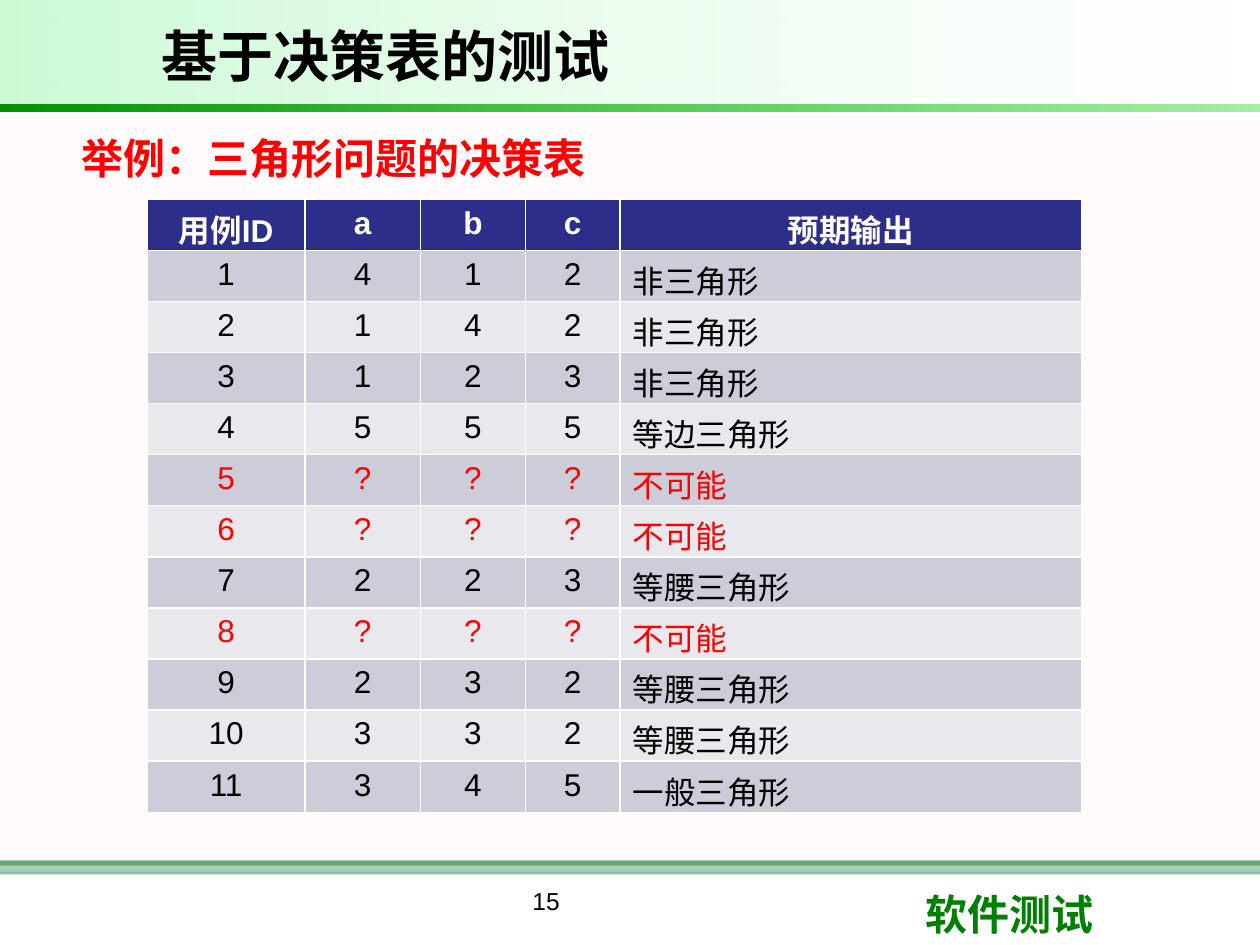
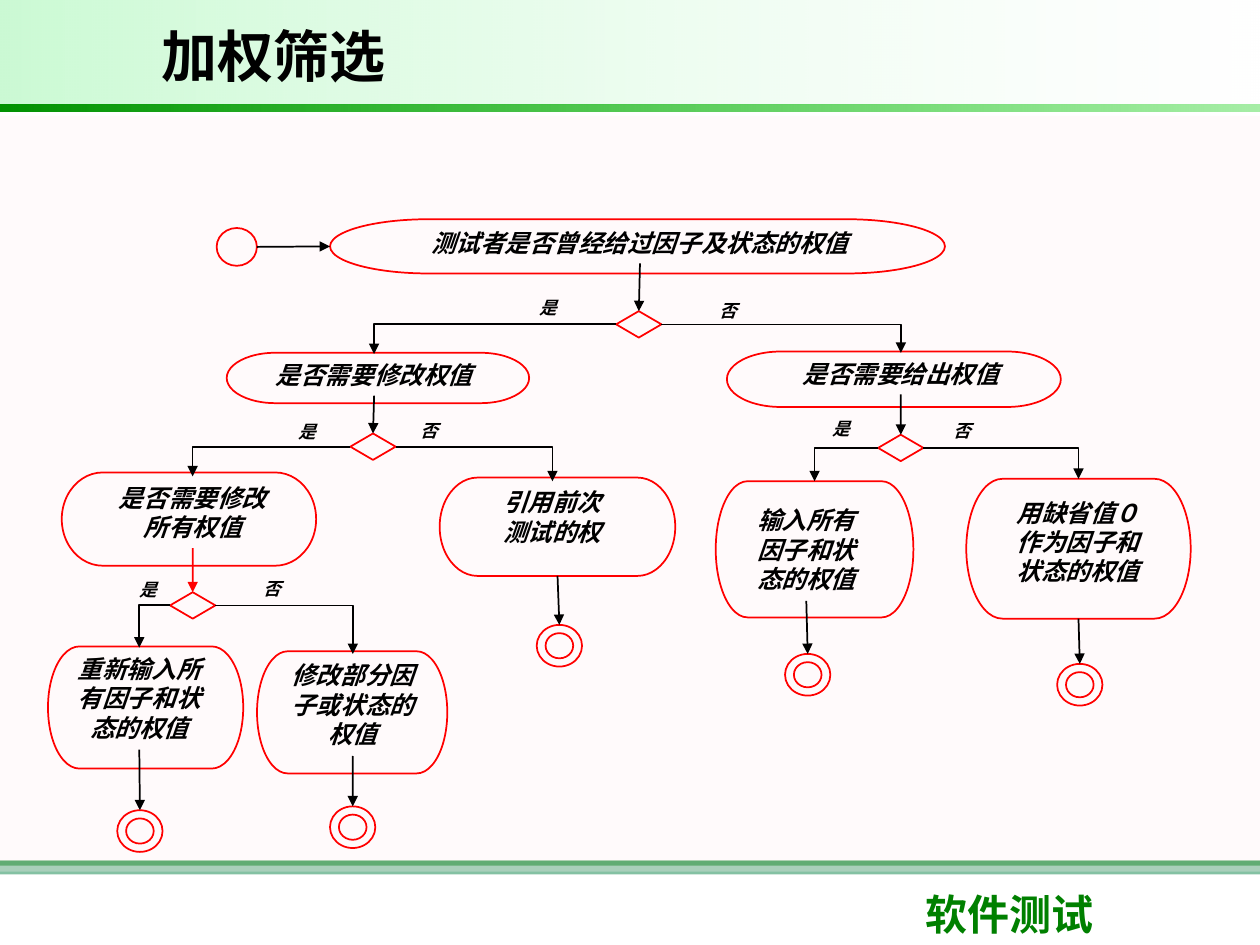
from collections import namedtuple

from lxml.etree import SubElement
from pptx import Presentation
from pptx.dml.color import RGBColor
from pptx.enum.shapes import MSO_CONNECTOR, MSO_SHAPE
from pptx.enum.text import MSO_ANCHOR, MSO_AUTO_SIZE, PP_ALIGN
from pptx.oxml.ns import qn
from pptx.util import Pt

# Shared colours and text formats
BLACK, WHITE, RED, GREEN = "000000", "FFFFFF", "FF0000", "008000"
NAVY, BANDS = "2D2D8A", ("CDCDDA", "E8E8ED")
TITLE = dict(name="Arial", size=Pt(32), bold=True, color=BLACK)
COURSE = dict(name="Arial", size=Pt(24), bold=True, color=GREEN)
HEADING = {**COURSE, "color": RED}
PAGE = dict(name="Arial", size=Pt(14), color=BLACK)
HEAD_CELL = dict(name="Arial", size=Pt(18), bold=True, color=WHITE)
BODY_CELL = {**HEAD_CELL, "bold": False, "color": BLACK}
STEP = dict(name="Times New Roman", size=Pt(14), bold=True, italic=True, color=BLACK)
BRANCH = {**STEP, "size": Pt(10)}


def rgb(value):
    return RGBColor.from_string(value)


def points(*values):
    return [Pt(value) for value in values]


def write(frame, text, style, align=PP_ALIGN.LEFT):
    paragraph = frame.paragraphs[0]
    paragraph.alignment = align
    run = paragraph.add_run()
    run.text = text
    for key, value in style.items():
        if key == "color":
            run.font.color.rgb = rgb(value)
        else:
            setattr(run.font, key, value)


def add_text(slide, box, text, style, align=PP_ALIGN.LEFT, wrap=True):
    frame = slide.shapes.add_textbox(*points(*box)).text_frame
    frame.word_wrap = wrap
    write(frame, text, style, align)


def set_alpha(fill_element, percents):
    for colour, percent in zip(fill_element.iter(qn("a:srgbClr")), percents):
        if percent < 100:
            SubElement(colour, qn("a:alpha")).set("val", str(percent * 1000))


def add_band(slide, box, colours, alphas):
    """A borderless strip: one colour is solid, two make a gradient."""
    band = slide.shapes.add_shape(MSO_SHAPE.RECTANGLE, *points(*box))
    band.shadow.inherit = False
    band.line.fill.background()
    if len(colours) == 1:
        band.fill.solid()
        band.fill.fore_color.rgb = rgb(colours[0])
    else:
        band.rotation = 180
        band.fill.gradient()
        band.fill.gradient_angle = 0
        for stop, colour in zip(band.fill.gradient_stops, colours):
            stop.color.rgb = rgb(colour)
    set_alpha(band._element.spPr, alphas)


def add_outline(slide, kind, box):
    outline = slide.shapes.add_shape(kind, *points(*box))
    outline.shadow.inherit = False
    outline.fill.background()
    outline.line.color.rgb = rgb(RED)
    outline.line.width = Pt(1)


def add_arrow(slide, start, end, colour=BLACK, bent=False):
    kind = MSO_CONNECTOR.ELBOW if bent else MSO_CONNECTOR.STRAIGHT
    arrow = slide.shapes.add_connector(kind, *points(*start, *end))
    arrow.line.color.rgb = rgb(colour)
    arrow.line.width = Pt(1)
    properties = arrow._element.spPr
    if bent:  # a single corner: across, then down
        properties.find(qn("a:prstGeom")).set("prst", "bentConnector2")
    SubElement(properties.find(qn("a:ln")), qn("a:tailEnd")).set("type", "triangle")
    SubElement(properties, qn("a:effectLst"))


def dress_master(slide, box):
    """Draw the header and footer bands once and move them to the master."""
    left, top, width, height = box
    known = len(slide.shapes)
    footer = top + height - 48.2
    add_band(slide, (left, footer, width, 2.9), [GREEN], [100])
    add_band(slide, (left, footer, width, 7.9), ["339966"], [60])
    add_band(slide, (left, top + 66.2, width, 432), ["FFF0F5"], [30])
    add_text(slide, (left + 522, top + 504, 170.6, 36), "软件测试", COURSE)
    add_band(slide, (left, top, width, 59.8), [WHITE, "09E733"], [10, 21])
    add_band(slide, (left, top + 59.8, width, 3.8), ["00CC00", "009200"], [35, 100])
    tree = slide.slide_layout.slide_master.shapes._spTree
    for number, part in enumerate(list(slide.shapes)[known:], start=100):
        part._element.nvSpPr.cNvPr.set("id", str(number))
        tree.append(part._element)


def add_titled_slide(deck, title, box):
    slide = deck.slides.add_slide(deck.slide_layouts[5])
    heading = slide.shapes.title
    for side, value in zip(("left", "top", "width", "height"), points(*box)):
        setattr(heading, side, value)
    frame = heading.text_frame
    for key, value in dict(word_wrap=True, auto_size=MSO_AUTO_SIZE.NONE,
                           vertical_anchor=MSO_ANCHOR.MIDDLE).items():
        setattr(frame, key, value)
    write(frame, title, TITLE)
    return slide


# Decision table slide
HEADER = ("用例ID", "a", "b", "c", "预期输出")
CASES = [
    ("4", "1", "2", "非三角形"), ("1", "4", "2", "非三角形"),
    ("1", "2", "3", "非三角形"), ("5", "5", "5", "等边三角形"),
    ("?", "?", "?", "不可能"), ("?", "?", "?", "不可能"),
    ("2", "2", "3", "等腰三角形"), ("?", "?", "?", "不可能"),
    ("2", "3", "2", "等腰三角形"), ("3", "3", "2", "等腰三角形"),
    ("3", "4", "5", "一般三角形"),
]
SHARES = (15, 11, 10, 9, 44)


def fill_cell(cell, text, style, colour, align):
    cell.margin_bottom = 0
    cell.fill.solid()
    cell.fill.fore_color.rgb = rgb(colour)
    write(cell.text_frame, text, style, align)


def add_case_table(slide, box):
    rows = [HEADER] + [(str(i), *case) for i, case in enumerate(CASES, start=1)]
    table = slide.shapes.add_table(len(rows), len(HEADER), *points(*box)).table
    for column, share in zip(table.columns, SHARES):
        column.width = Pt(round(box[2] * share / sum(SHARES), 2))
    for r, row in enumerate(rows):
        table.rows[r].height = Pt(round(box[3] / len(rows), 2))
        impossible = "?" in row
        for c, text in enumerate(row):
            if r == 0:
                style, colour = HEAD_CELL, NAVY
            else:
                style = {**BODY_CELL, "color": RED if impossible else BLACK}
                colour = BANDS[(r - 1) % 2]
            last = c == len(row) - 1
            align = PP_ALIGN.LEFT if r and last else PP_ALIGN.CENTER
            fill_cell(table.cell(r, c), text, style, colour, align)


# Flowchart slide: every place is relative to the chart's corner.
# A step is entered and left at its label, unless its frame is named.
Step = namedtuple("Step", "text frame label enter leave", defaults=("label", "label"))
STEPS = {
    "given": Step("测试者是否曾经给过因子及状态的权值",
                  (161.6, 0.3, 351.4, 31), (190.4, 1.7, 296.6, 23.8)),
    "modify": Step("是否需要修改权值",
                   (102.6, 76.6, 172.8, 28.8), (106.9, 77.3, 159.8, 23.8)),
    "supply": Step("是否需要给出权值",
                   (388.4, 75.9, 190.8, 31.7), (407.9, 76.6, 159.8, 23.8)),
    "modify all": Step("是否需要修改所有权值",
                       (8.3, 145, 145.4, 53.3), (32, 147.2, 102.2, 41)),
    "reuse": Step("引用前次测试的权", (224.3, 147.9, 134.6, 56.2),
                  (247.3, 150, 82.8, 41), "label", "frame"),
    "re-enter": Step("重新输入所有因子和状态的权值",
                     (0.4, 244.4, 111.6, 69.8), (4, 245.1, 97.2, 58.3)),
    "modify some": Step("修改部分因子或状态的权值",
                        (119.9, 247.2, 108.7, 69.8), (128.5, 248.7, 92.2, 58.3)),
    "enter": Step("输入所有因子和状态的权值", (382, 150, 113, 77.8),
                  (392, 160.1, 83.5, 58.3), "frame"),
    "default": Step("用缺省值０作为因子和状态的权值", (525.2, 148.6, 128.2, 79.9),
                    (540.4, 155.8, 97.2, 58.3), "frame", "frame"),
}
# Question, diamond corner, (answer step, answer corner) for yes and no, arrow colour
DECISIONS = [
    ("given", (325.1, 52.8), ("modify", (274, 41.3)), ("supply", (376.9, 42.8)), BLACK),
    ("modify", (173.2, 122.7), ("modify all", (136.4, 111.9)),
     ("reuse", (206.3, 111.2)), BLACK),
    ("modify all", (70.2, 213.4), ("re-enter", (45.7, 202.6)),
     ("modify some", (116.3, 201.9)), RED),
    ("supply", (474.8, 123.4), ("enter", (441.7, 110.4)),
     ("default", (510.8, 111.2)), BLACK),
]
ENDS = {"reuse": (279.7, 232.1), "re-enter": (40, 338), "modify some": (161.6, 335.8),
        "enter": (421.6, 248.7), "default": (577.1, 254.4)}
START = (96.8, 5.3, 23, 21.6)
DIAMOND, ANSWER = (25.9, 15.1), (28.8, 19.4)
RING, CORE = (25.9, 23.8), (15.8, 14.4)


def side_point(box, across, down):
    left, top, width, height = box
    return left + width * across, top + height * down


def shift(place, origin):
    return (place[0] + origin[0], place[1] + origin[1], *place[2:])


def add_step(slide, step, origin):
    add_outline(slide, MSO_SHAPE.FLOWCHART_TERMINATOR, shift(step.frame, origin))
    add_text(slide, shift(step.label, origin), step.text, STEP, PP_ALIGN.CENTER)


def way_in(step, origin):
    return side_point(shift(getattr(step, step.enter), origin), 0.5, 0)


def way_out(step, origin):
    return side_point(shift(getattr(step, step.leave), origin), 0.5, 1)


def add_decision(slide, decision, origin):
    question, corner, yes, no, colour = decision
    diamond = shift(corner + DIAMOND, origin)
    add_outline(slide, MSO_SHAPE.DIAMOND, diamond)
    add_arrow(slide, way_out(STEPS[question], origin), side_point(diamond, 0.5, 0), colour)
    for side, answer, (target, place) in ((0, "是", yes), (1, "否", no)):
        add_arrow(slide, side_point(diamond, side, 0.5),
                  way_in(STEPS[target], origin), bent=True)
        add_text(slide, shift(place + ANSWER, origin), answer, BRANCH)


def add_end(slide, step, corner, origin):
    ring = shift(corner + RING, origin)
    inset = [(outer - inner) / 2 for outer, inner in zip(RING, CORE)]
    add_outline(slide, MSO_SHAPE.OVAL, shift((*inset, *CORE), ring))
    add_outline(slide, MSO_SHAPE.OVAL, ring)
    add_arrow(slide, way_out(step, origin), side_point(ring, 0.5, 0))


def add_flowchart(slide, origin):
    for step in STEPS.values():
        add_step(slide, step, origin)
    for decision in DECISIONS:
        add_decision(slide, decision, origin)
    for name, corner in ENDS.items():
        add_end(slide, STEPS[name], corner, origin)
    # Start marker
    start = shift(START, origin)
    add_outline(slide, MSO_SHAPE.OVAL, start)
    first = shift(STEPS["given"].frame, origin)
    add_arrow(slide, side_point(start, 1, 0.5), side_point(first, 0, 0.5))


deck = Presentation()
deck.slide_width, deck.slide_height = points(720, 540)
TITLE_BOX = (85, 5.8, 501.8, 51.1)

table_slide = add_titled_slide(deck, "基于决策表的测试", TITLE_BOX)
dress_master(table_slide, (0, 0, 720, 540))
add_text(table_slide, (198, 502.6, 228.2, 37.4), "15", PAGE, PP_ALIGN.CENTER)
add_text(table_slide, (39.6, 72, 305.3, 36.7), "举例：三角形问题的决策表", HEADING, wrap=False)
add_case_table(table_slide, (84.2, 113.8, 534.2, 350.6))

flow_slide = add_titled_slide(deck, "加权筛选", TITLE_BOX)
add_flowchart(flow_slide, (27, 125))

deck.save("out.pptx")
